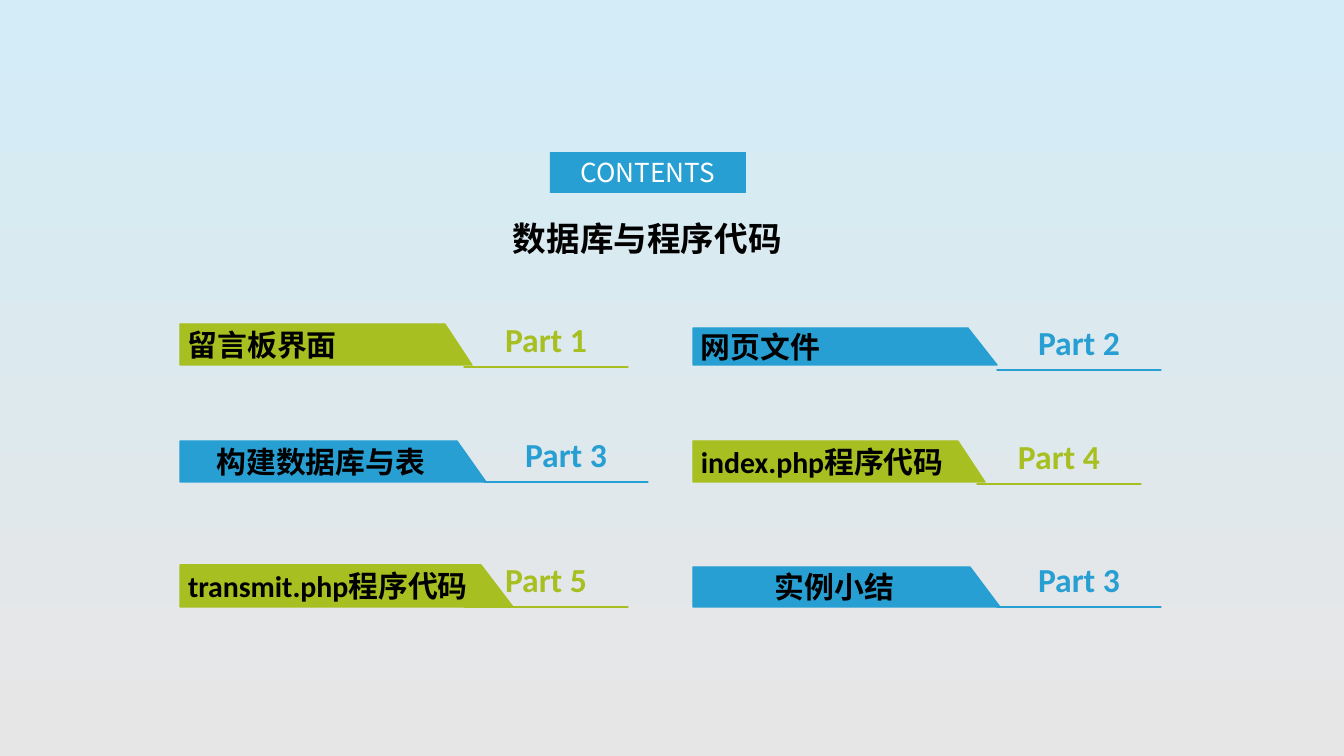
from pptx import Presentation, util as u
from pptx.dml.color import RGBColor
from pptx.enum import shapes, text

SCALE = 914400 / 134.4
BLUE = RGBColor(0x28, 0x9F, 0xD2)
GREEN = RGBColor(0xA7, 0xBF, 0x20)
BLACK = RGBColor(0, 0, 0)
WHITE = RGBColor(255, 255, 255)
SKY = RGBColor(0xD3, 0xEC, 0xF7)
MIST = RGBColor(0xE7, 0xE6, 0xE6)
LEFT, CENTER = text.PP_ALIGN.LEFT, text.PP_ALIGN.CENTER

COLUMNS = (180, 693)
ROWS = (365, 482, 607)
RULE_WIDTH, RULE_RISE = 164, 56

# topic, part, colour, align, banner top, top edge width, slant, rule left, rule bottom
SECTIONS = [
    ("留言板界面", "Part 1", GREEN, LEFT, 324, 265, 27, 464, 367),
    ("网页文件", "Part 2", BLUE, LEFT, 328, 275, 29, 997, 370),
    ("构建数据库与表", "Part 3", BLUE, CENTER, 441, 277, 29, 484, 482),
    ("index.php程序代码", "Part 4", GREEN, CENTER, 441, 265, 27, 977, 484),
    ("transmit.php程序代码", "Part 5", GREEN, LEFT, 565, 301, 32, 464, 607),
    ("实例小结", "Part 3", BLUE, CENTER, 567, 277, 30, 997, 607),
]
SECTIONS[3] = SECTIONS[3][:3] + (LEFT,) + SECTIONS[3][4:]


def px(*lengths):
    return [u.Emu(round(length * SCALE)) for length in lengths]


def write(shape, words, align, margins, wrap=True, anchor=text.MSO_ANCHOR.MIDDLE, **font):
    frame = shape.text_frame
    sides = ("margin_left", "margin_top", "margin_right", "margin_bottom")
    layout = dict(zip(sides, px(*margins)), word_wrap=wrap, vertical_anchor=anchor)
    for key, value in layout.items():
        setattr(frame, key, value)
    paragraph = frame.paragraphs[0]
    paragraph.alignment = align
    run = paragraph.add_run()
    run.text = words
    color = font.pop("color")
    for key, value in font.items():
        setattr(run.font, key, value)
    run.font.color.rgb = color


def outline(contours, color, filled):
    start, *_ = contours[0]
    builder = slide.shapes.build_freeform(*start, scale=SCALE)
    for number, (first, *rest) in enumerate(contours):
        if number:
            builder.move_to(*first)
        builder.add_line_segments(rest, close=True)
    shape = builder.convert_to_shape()
    shape.shadow.inherit = False
    if filled:
        shape.fill.solid()
        shape.fill.fore_color.rgb = color
    else:
        shape.fill.background()
    shape.line.color.rgb = color
    shape.line.width = u.Pt(0.74)
    return shape


deck = Presentation()
deck.slide_width, deck.slide_height = px(1344, 756)
slide = deck.slides.add_slide(deck.slide_layouts[6])
backdrop = slide.background.fill
backdrop.gradient()
backdrop.gradient_angle = 270
for stop, color in zip(backdrop.gradient_stops, (SKY, MIST)):
    stop.color.rgb = color

contents = slide.shapes.add_shape(shapes.MSO_SHAPE.RECTANGLE, *px(550, 152, 196, 41))
contents.shadow.inherit = False
contents.fill.solid()
contents.fill.fore_color.rgb = BLUE
contents.line.fill.background()
write(contents, "CONTENTS", CENTER, (11, 5, 11, 5),
      name="Noto Sans CJK SC", size=u.Pt(14), color=WHITE)

heading = slide.shapes.add_textbox(*px(500, 211, 296, 54))
write(heading, "数据库与程序代码", LEFT, (13, 7, 13, 7), wrap=False,
      anchor=text.MSO_ANCHOR.TOP, name="Calibri", size=u.Pt(18), bold=True, color=BLACK)

for index, (topic, part, color, align, top, width, slant, rule_x, rule_y) in enumerate(SECTIONS):
    row, column = divmod(index, len(COLUMNS))
    left, bottom = COLUMNS[column], ROWS[row]
    edge = left + width
    banner = outline([[(left, top), (edge, top), (edge + slant, bottom), (left, bottom)]],
                     color, True)
    write(banner, topic, align, (8, 0, 32, 0),
          name="Calibri", size=u.Pt(16), bold=True, color=BLACK)

    peak = (rule_x, rule_y - RULE_RISE)
    rule = outline([[(rule_x, rule_y), (rule_x + RULE_WIDTH, rule_y)], [peak, peak]],
                   color, False)
    write(rule, part, CENTER, (0, 5, 0, 5),
          name="Calibri", size=u.Pt(18), bold=True, color=color)

deck.save("out.pptx")
